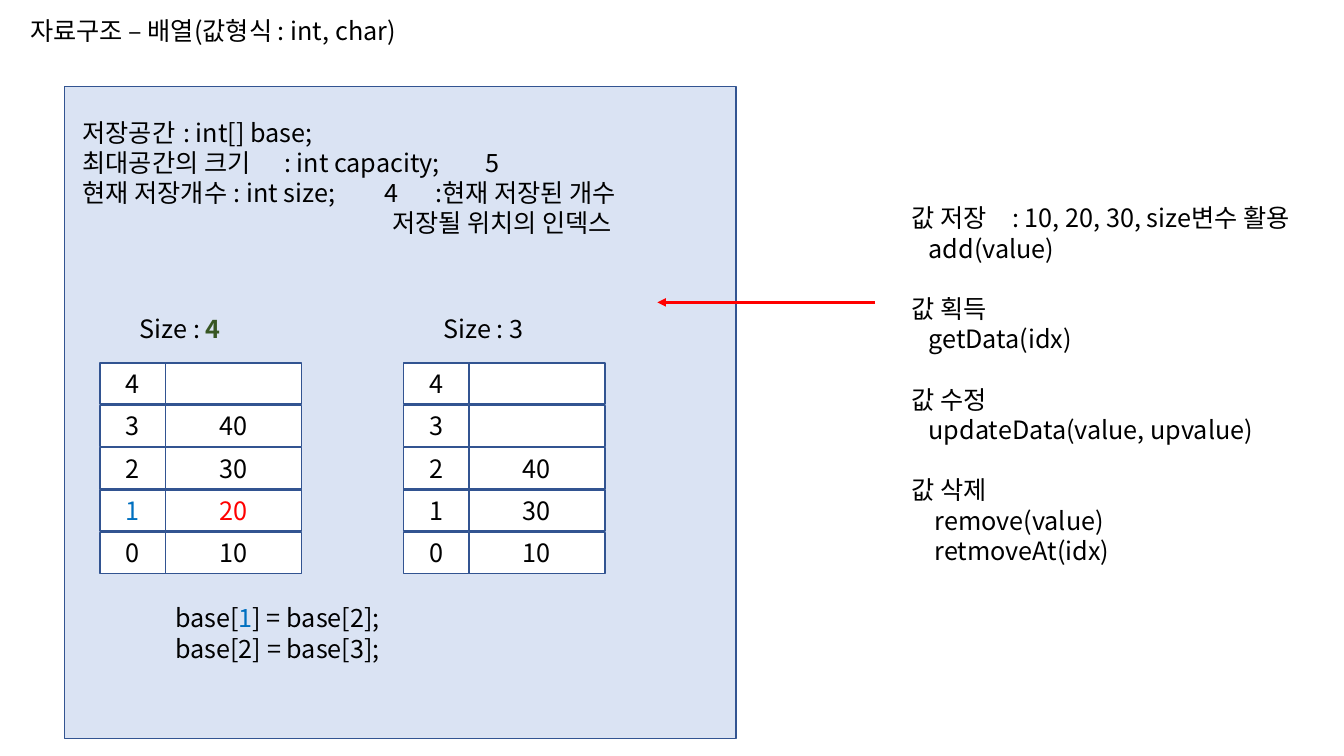
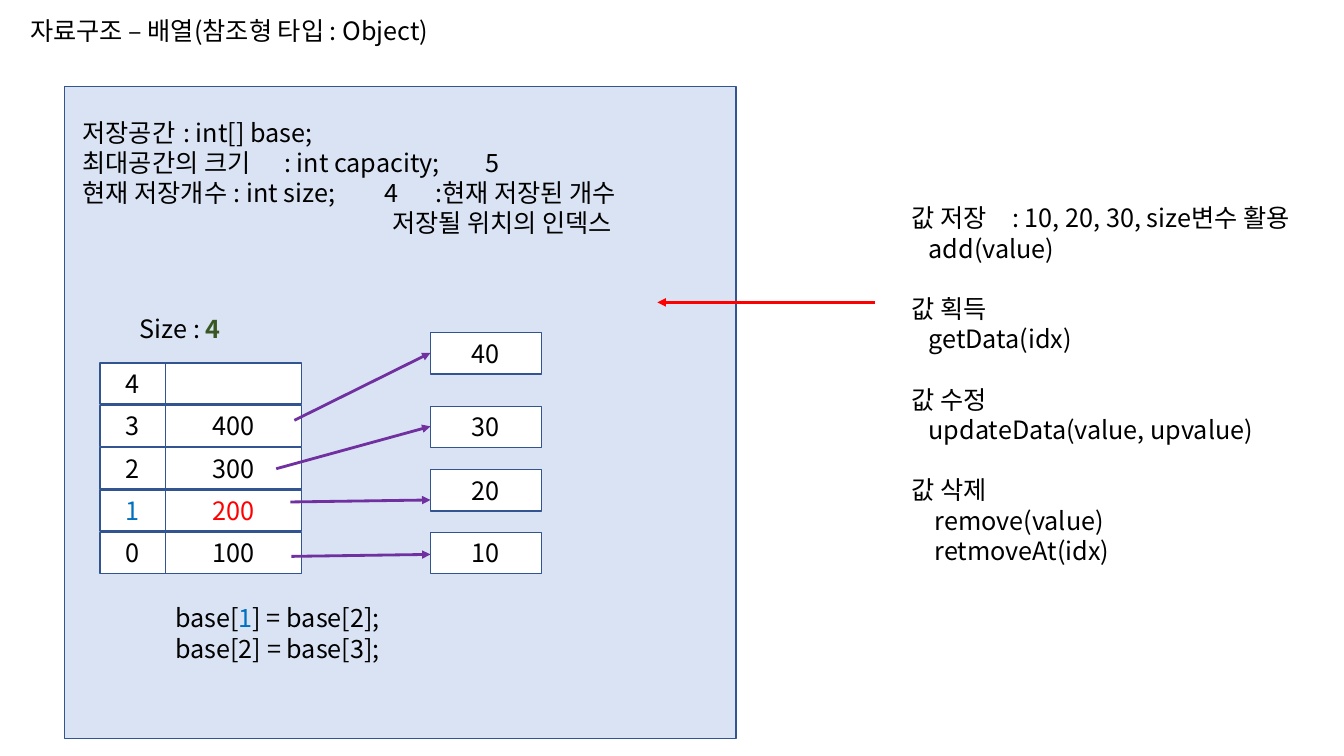
from pptx import Presentation
from pptx.dml.color import RGBColor
from pptx.enum.shapes import MSO_CONNECTOR, MSO_SHAPE
from pptx.enum.text import MSO_ANCHOR, MSO_AUTO_SIZE, PP_ALIGN
from pptx.oxml.ns import qn
from pptx.util import Inches, Pt
from lxml import etree

RECT, STRAIGHT = MSO_SHAPE.RECTANGLE, MSO_CONNECTOR.STRAIGHT
TOP, MIDDLE = MSO_ANCHOR.TOP, MSO_ANCHOR.MIDDLE
LEFT, CENTER = PP_ALIGN.LEFT, PP_ALIGN.CENTER
FIXED_SIZE = MSO_AUTO_SIZE.NONE

# Shared style
FONT, TEXT_SIZE, LINE_HEIGHT = "Noto Sans CJK KR", Pt(18), Pt(21.6)
BLACK, WHITE, RED = "000000", "FFFFFF", "FF0000"
PANEL, BORDER = "DAE3F3", "325491"
BLUE, GREEN, PURPLE = "0070C0", "385723", "7030A0"
INDEX_WIDTH, VALUE_WIDTH = 0.65, 1.35
CELL_HEIGHT, CELL_PITCH = 0.41, 0.42

# Shared content: (text, indent, tab stops)
FIELDS = [
    ("저장공간\t: int[] base;", 0, [1.96]),
    ("최대공간의 크기\t: int capacity;\t5", 0, [2.01, 3.72]),
    ("현재 저장개수\t: int size;\t4\t:현재 저장된 개수", 0, [1.99, 3.17, 3.41]),
    ("저장될 위치의 인덱스", 3.07, []),
]
OPERATIONS = [
    ("값 저장\t: 10, 20, 30, size변수 활용", ["add(value)"], 0.17),
    ("값 획득", ["getData(idx)"], 0.17),
    ("값 수정", ["updateData(value, upvalue)"], 0.17),
    ("값 삭제", ["remove(value)", "retmoveAt(idx)"], 0.23),
]


def rgb(color):
    return RGBColor.from_string(color)


def place(part, box):
    part.left, part.top, part.width, part.height = map(Inches, box)


def prepare_frame(frame, wrap=True, anchor=TOP):
    frame.word_wrap = wrap
    frame.auto_size = FIXED_SIZE
    frame.vertical_anchor = anchor
    frame.margin_left = frame.margin_right = Inches(0.1)
    frame.margin_top = frame.margin_bottom = Inches(0.05)


def write_line(frame, runs, first=False, align=LEFT, indent=0, tabs=(), gap=0):
    """Write one paragraph from (text, colour, bold) runs."""
    line = frame.paragraphs[0] if first else frame.add_paragraph()
    line.alignment = align
    line.line_spacing = LINE_HEIGHT
    line.space_before, line.space_after = gap, Pt(0)
    properties = line._p.get_or_add_pPr()
    properties.set("marL", str(Inches(indent)))
    properties.set("indent", "0")
    etree.SubElement(properties, qn("a:buNone"))
    if tabs:
        stops = etree.SubElement(properties, qn("a:tabLst"))
        for stop in tabs:
            etree.SubElement(stops, qn("a:tab"), pos=str(Inches(stop)), algn="l")
    for text, color, bold in runs:
        run = line.add_run()
        run.text = text
        run.font.name, run.font.size, run.font.bold = FONT, TEXT_SIZE, bold
        run.font.color.rgb = rgb(color)
        etree.SubElement(run._r.get_or_add_rPr(), qn("a:ea"), typeface=FONT)


def plain(text, color=BLACK):
    return [(text, color, False)]


def add_label(slide, box, lines):
    frame = slide.shapes.add_textbox(*map(Inches, box)).text_frame
    prepare_frame(frame, wrap=False)
    for number, runs in enumerate(lines):
        write_line(frame, runs, first=number == 0)


def add_cell(slide, box, text="", color=BLACK, fill=WHITE):
    cell = slide.shapes.add_shape(RECT, *map(Inches, box))
    cell.shadow.inherit = False
    cell.fill.solid()
    cell.fill.fore_color.rgb = rgb(fill)
    cell.line.color.rgb = rgb(BORDER)
    cell.line.width = Pt(1)
    if text:
        prepare_frame(cell.text_frame, anchor=MIDDLE)
        write_line(cell.text_frame, plain(text, color), first=True, align=CENTER)


def add_arrow(slide, start, end, color):
    arrow = slide.shapes.add_connector(STRAIGHT, *map(Inches, start + end))
    arrow.line.color.rgb = rgb(color)
    arrow.line.width = Pt(2)
    outline = arrow._element.spPr
    etree.SubElement(outline.find(qn("a:ln")), qn("a:tailEnd"), type="triangle")
    etree.SubElement(outline, qn("a:effectLst"))


def write_title(slide, box, text):
    title = slide.shapes.title
    place(title, box)
    prepare_frame(title.text_frame, wrap=False)
    write_line(title.text_frame, plain(text), first=True)


def write_operations(slide, box):
    body = slide.placeholders[1]
    place(body, box)
    prepare_frame(body.text_frame)
    for number, (heading, calls, indent) in enumerate(OPERATIONS):
        first = number == 0
        write_line(body.text_frame, plain(heading), first=first, tabs=[1.03],
                   gap=Pt(0) if first else LINE_HEIGHT)
        for call in calls:
            write_line(body.text_frame, plain(call), indent=indent)


def add_class_panel(slide, box):
    left, top, width, _ = box
    add_cell(slide, box, fill=PANEL)
    fields_box = (left + 0.08, top + 0.25, width + 0.17, 1.31)
    frame = slide.shapes.add_textbox(*map(Inches, fields_box)).text_frame
    prepare_frame(frame)
    for number, (text, indent, tabs) in enumerate(FIELDS):
        write_line(frame, plain(text), first=number == 0, indent=indent, tabs=tabs)


def add_array(slide, left, top, values, size_runs, marked=None):
    """Draw the size label and the cells, with index 0 at the bottom."""
    add_label(slide, (left + 0.3, top - 0.54, 1.03, 0.4), [size_runs])
    last = len(values) - 1
    for index, value in enumerate(values):
        y = top + (last - index) * CELL_PITCH
        index_color, value_color = (BLUE, RED) if index == marked else (BLACK, BLACK)
        add_cell(slide, (left, y, INDEX_WIDTH, CELL_HEIGHT), str(index), index_color)
        add_cell(slide, (left + INDEX_WIDTH, y, VALUE_WIDTH, CELL_HEIGHT),
                 value, value_color)


def add_objects(slide, left, objects):
    """Draw each object with the arrow of the reference that leads to it."""
    for value, top, start, arrow_y in objects:
        add_cell(slide, (left, top, 1.1, CELL_HEIGHT), value)
        add_arrow(slide, start, (left, arrow_y), PURPLE)


def add_array_slide(deck, title, values):
    slide = deck.slides.add_slide(deck.slide_layouts[1])
    write_title(slide, (0.2, 0.1, 4.5, 0.4), title)
    write_operations(slide, (8.94, 1.96, 4.25, 3.74))
    add_class_panel(slide, (0.64, 0.86, 6.66, 6.47))
    add_arrow(slide, (8.68, 3), (6.52, 3), RED)
    add_array(slide, 0.99, 3.6, values,
              [("Size : ", BLACK, False), ("4", GREEN, True)], marked=1)
    add_label(slide, (1.64, 5.93, 2.24, 0.71), [
        plain("base[") + plain("1", BLUE) + plain("] = base[2];"),
        plain("base[2] = base[3];"),
    ])
    return slide


deck = Presentation()
deck.slide_width, deck.slide_height = Inches(13.33), Inches(7.5)

# Value types: the array before and after a removal
value_slide = add_array_slide(deck, "자료구조 – 배열(값형식 : int, char)",
                              ["10", "20", "30", "40", ""])
add_array(value_slide, 4, 3.6, ["10", "30", "40", "", ""], plain("Size : 3"))

# Reference types: the array holds addresses of objects
reference_slide = add_array_slide(deck, "자료구조 – 배열(참조형 타입 : Object)",
                                  ["100", "200", "300", "400", ""])
add_objects(reference_slide, 4.27, [
    ("10", 5.28, (2.89, 5.52), 5.5),
    ("20", 4.66, (2.88, 4.98), 4.96),
    ("30", 4.03, (2.74, 4.65), 4.23),
    ("40", 3.3, (2.92, 4.17), 3.5),
])

deck.save("out.pptx")
